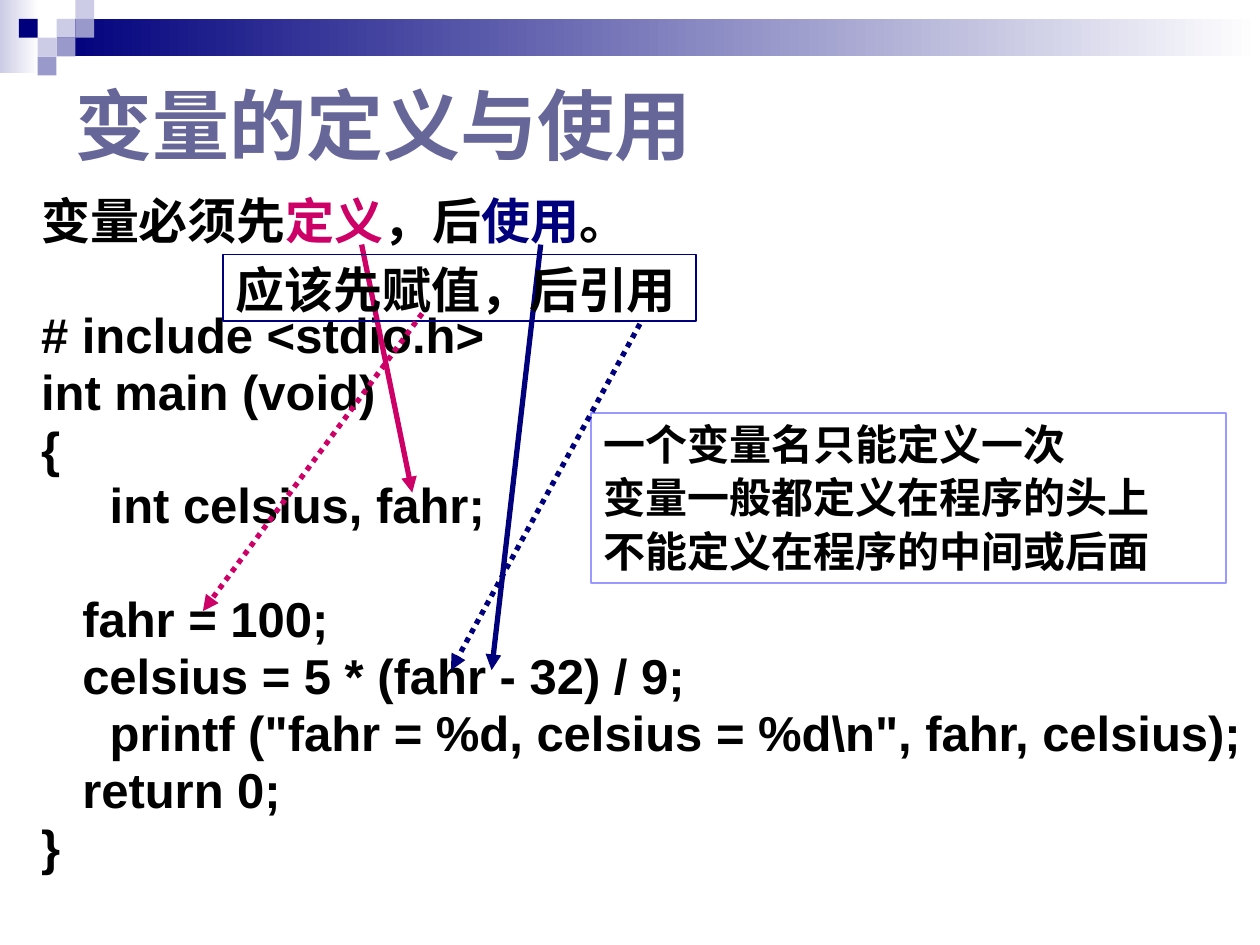
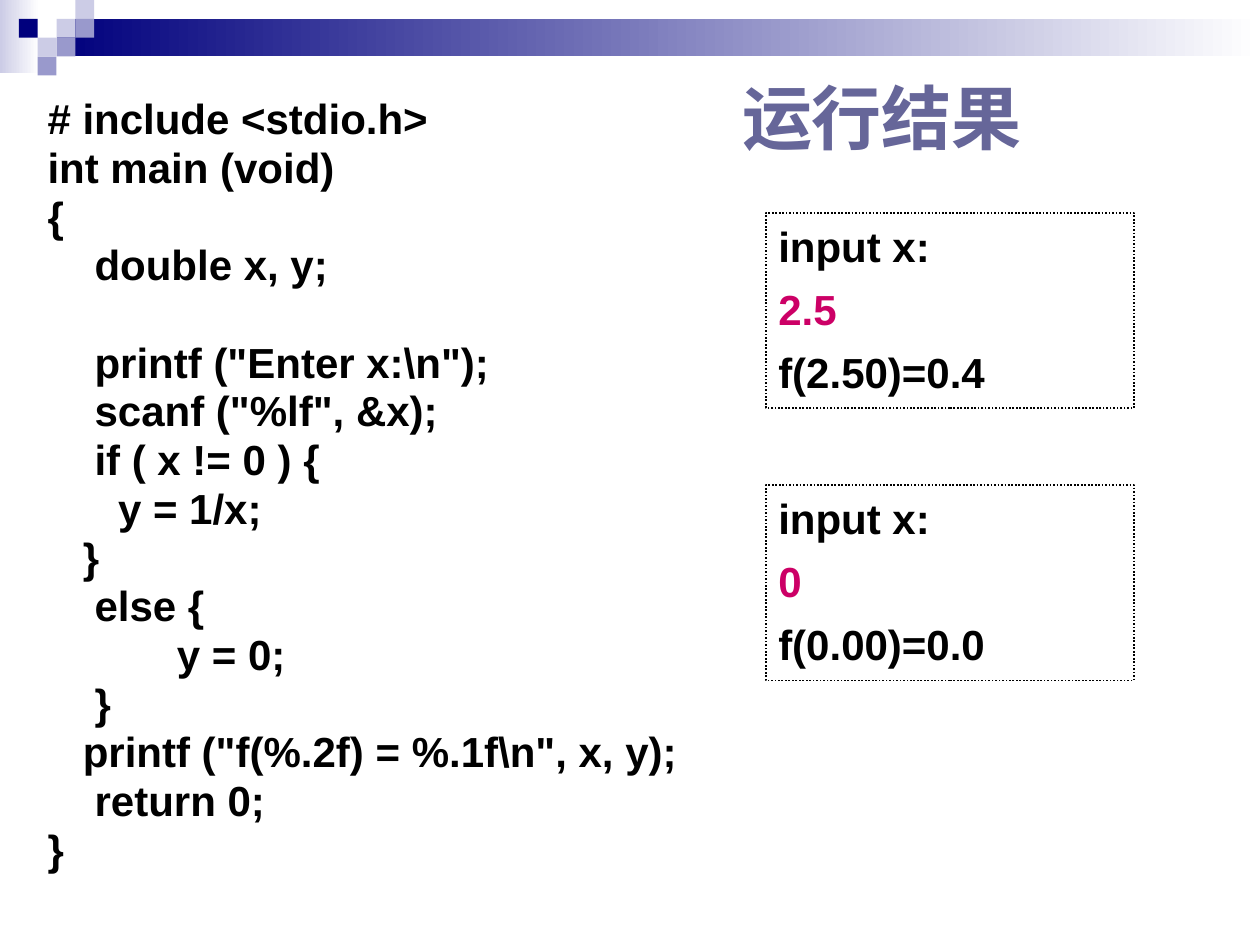
from dataclasses import dataclass

from lxml.etree import SubElement
from pptx import Presentation
from pptx.dml.color import RGBColor
from pptx.enum.dml import MSO_LINE_DASH_STYLE as Dash
from pptx.enum.shapes import MSO_CONNECTOR as Connector, MSO_SHAPE as Shape
from pptx.enum.text import MSO_ANCHOR as Anchor
from pptx.oxml.ns import qn
from pptx.util import Cm, Pt


@dataclass(frozen=True)
class Theme:
    latin: str = "Arial"
    chinese: str = "Noto Sans CJK SC"
    ink: str = "000000"
    navy: str = "00007D"
    magenta: str = "CC0066"
    title: str = "666699"
    pale: str = "CCCCE6"
    mid: str = "9999CC"
    note_edge: str = "9999FF"
    white: str = "FFFFFF"
    title_large: int = 44
    title_small: int = 40
    large: int = 28
    small: int = 24
    space: float = 0.28  # width of a space, in type sizes


THEME = Theme()

# Line height and paragraph gap, in type sizes
CODE_RHYTHM = (0.98, 0.18)
NOTE_RHYTHM = (1.18, 0.09)
OUTPUT_RHYTHM = (1.23, 0.27)

# Header: (left, top, width, height, start colour) and (column, row, colour)
BANDS = [(0, 0, 0.79, 1.47, THEME.pale), (1.14, 0.38, 24.26, 0.76, THEME.navy)]
TILE = 0.38
TILES = [
    (3, 1, THEME.pale), (4, 0, THEME.pale), (4, 1, THEME.mid),
    (2, 2, THEME.pale), (1, 1, THEME.navy), (3, 2, THEME.mid),
    (2, 3, THEME.mid),
]

# Each line: (indent in spaces, text or coloured spans); None leaves a gap
DEFINE_TITLE = "变量的定义与使用"
DEFINE_CODE = [
    (0, [("变量必须先", THEME.ink), ("定义", THEME.magenta), ("，后", THEME.ink),
         ("使用", THEME.navy), ("。", THEME.ink)]),
    None,
    (0, "# include <stdio.h>"),
    (0, "int main (void)"),
    (0, "{"),
    (5, "int celsius, fahr;"),
    None,
    (3, "fahr = 100;"),
    (3, "celsius = 5 * (fahr - 32) / 9;"),
    (5, 'printf ("fahr = %d, celsius = %d\\n", fahr, celsius);'),
    (3, "return 0;"),
    (0, "}"),
]
DEFINE_NOTES = [
    (0, "一个变量名只能定义一次"),
    (0, "变量一般都定义在程序的头上"),
    (0, "不能定义在程序的中间或后面"),
]
ASSIGN_RULE = [(0, "应该先赋值，后引用")]

# (from x, from y, to x, to y, colour, dash)
DEFINE_ARROWS = [
    (7.29, 4.93, 8.31, 9.93, THEME.magenta, None),
    (10.9, 4.93, 9.91, 13.51, THEME.navy, None),
]
ASSIGN_ARROWS = [
    (8.51, 6.32, 4.09, 12.32, THEME.magenta, Dash.ROUND_DOT),
    (12.9, 6.53, 9.09, 13.51, THEME.navy, Dash.ROUND_DOT),
]

RESULT_TITLE = "运行结果"
RESULT_CODE = [
    (0, "# include <stdio.h>"),
    (0, "int main (void)"),
    (0, "{"),
    (4, "double x, y;"),
    None,
    (4, 'printf ("Enter x:\\n");'),
    (4, 'scanf ("%lf", &x);'),
    (4, "if ( x != 0 ) {"),
    (6, "y = 1/x;"),
    (3, "}"),
    (4, "else {"),
    (11, "y = 0;"),
    (4, "}"),
    (3, 'printf ("f(%.2f) = %.1f\\n", x, y);'),
    (4, "return 0;"),
    (0, "}"),
]
OUTPUTS = [("2.5", "f(2.50)=0.4"), ("0", "f(0.00)=0.0")]
OUTPUT_LEFT, OUTPUT_TOP, OUTPUT_STEP = 15.44, 4.29, 5.49


def color(code):
    return RGBColor.from_string(code)


def add_rectangle(page, area):
    box = page.shapes.add_shape(Shape.RECTANGLE, *map(Cm, area))
    box.shadow.inherit = False
    box.line.fill.background()
    return box


def add_header(page):
    for *area, start in BANDS:
        band = add_rectangle(page, area)
        band.fill.gradient()
        band.fill.gradient_angle = 0
        for stop, code in zip(band.fill.gradient_stops, (start, THEME.white)):
            stop.color.rgb = color(code)
        for stop, position in zip(band.fill.gradient_stops, (0, 1)):
            stop.position = position
    for column, row, code in TILES:
        tile = add_rectangle(page, (column * TILE, row * TILE, TILE, TILE))
        tile.fill.solid()
        tile.fill.fore_color.rgb = color(code)


def add_span(para, text, size, code, font):
    span = para.add_run()
    span.text = text
    span.font.name = font
    span.font.size = Pt(size)
    span.font.bold = True
    span.font.color.rgb = color(code)
    east_asian = SubElement(span._r.get_or_add_rPr(), qn("a:ea"))
    east_asian.set("typeface", THEME.chinese)


def write_lines(box, lines, size, rhythm, font=THEME.latin):
    """Fill a box with lines, turning None into extra space above the next."""
    frame = box.text_frame
    frame.word_wrap = True
    frame.vertical_anchor = Anchor.TOP
    height, gap = rhythm
    para, before = frame.paragraphs[0], 0
    for line in lines:
        if line is None:
            before += height + gap
            continue
        if para is None:
            para = frame.add_paragraph()
        indent, content = line
        para.alignment = 1
        para.line_spacing = Pt(height * size)
        para.space_before = Pt(before * size)
        para._p.get_or_add_pPr().set("marL", str(Pt(indent * THEME.space * size)))
        spans = [(content, THEME.ink)] if isinstance(content, str) else content
        for text, code in spans:
            add_span(para, text, size, code, font)
        para, before = None, gap


def add_title(page, text, area, size):
    box = page.shapes.add_textbox(*map(Cm, area))
    frame = box.text_frame
    frame.word_wrap = True
    frame.vertical_anchor = Anchor.MIDDLE
    add_span(frame.paragraphs[0], text, size, THEME.title, THEME.latin)


def add_code(page, lines, area, size):
    box = page.shapes.add_textbox(*map(Cm, area))
    write_lines(box, lines, size, CODE_RHYTHM)


def add_frame(page, lines, area, size, edge, rhythm, font, dash=None):
    """Add an unfilled, outlined box of text."""
    box = add_rectangle(page, area)
    box.fill.background()
    box.line.color.rgb = color(edge)
    box.line.width = Pt(1)
    if dash:
        box.line.dash_style = dash
    write_lines(box, lines, size, rhythm, font)


def add_arrows(page, arrows):
    for *ends, code, dash in arrows:
        arrow = page.shapes.add_connector(Connector.STRAIGHT, *map(Cm, ends))
        arrow.line.color.rgb = color(code)
        arrow.line.width = Pt(3)
        if dash:
            arrow.line.dash_style = dash
        SubElement(arrow.line._get_or_add_ln(), qn("a:tailEnd")).set("type", "triangle")
        SubElement(arrow._element.spPr, qn("a:effectLst"))


def new_page(deck):
    page = deck.slides.add_slide(deck.slide_layouts[6])
    add_header(page)
    return page


def build_define_page(deck):
    page = new_page(deck)
    add_title(page, DEFINE_TITLE, (1.27, 1.27, 15.24, 2.46), THEME.title_large)
    add_code(page, DEFINE_CODE, (0.58, 3.94, 24.82, 14.6), THEME.large)
    add_frame(page, DEFINE_NOTES, (11.91, 8.33, 12.8, 3.43), THEME.small,
              THEME.note_edge, NOTE_RHYTHM, THEME.chinese)
    add_arrows(page, DEFINE_ARROWS)
    add_frame(page, ASSIGN_RULE, (4.5, 5.13, 9.53, 1.35), THEME.large,
              THEME.navy, NOTE_RHYTHM, THEME.chinese)
    add_arrows(page, ASSIGN_ARROWS)


def build_result_page(deck):
    page = new_page(deck)
    add_title(page, RESULT_TITLE, (14.71, 1.32, 9.83, 2.06), THEME.title_small)
    add_code(page, RESULT_CODE, (0.71, 1.93, 14.4, 15.72), THEME.small)
    for index, (entered, result) in enumerate(OUTPUTS):
        lines = [(0, "input x:"), (0, [(entered, THEME.magenta)]), (0, result)]
        area = (OUTPUT_LEFT, OUTPUT_TOP + index * OUTPUT_STEP, 7.42, 3.94)
        add_frame(page, lines, area, THEME.small, THEME.ink, OUTPUT_RHYTHM,
                  THEME.latin, Dash.ROUND_DOT)


def main():
    deck = Presentation()
    deck.slide_width, deck.slide_height = Cm(25.4), Cm(19.05)
    build_define_page(deck)
    build_result_page(deck)
    deck.save("out.pptx")


if __name__ == "__main__":
    main()
